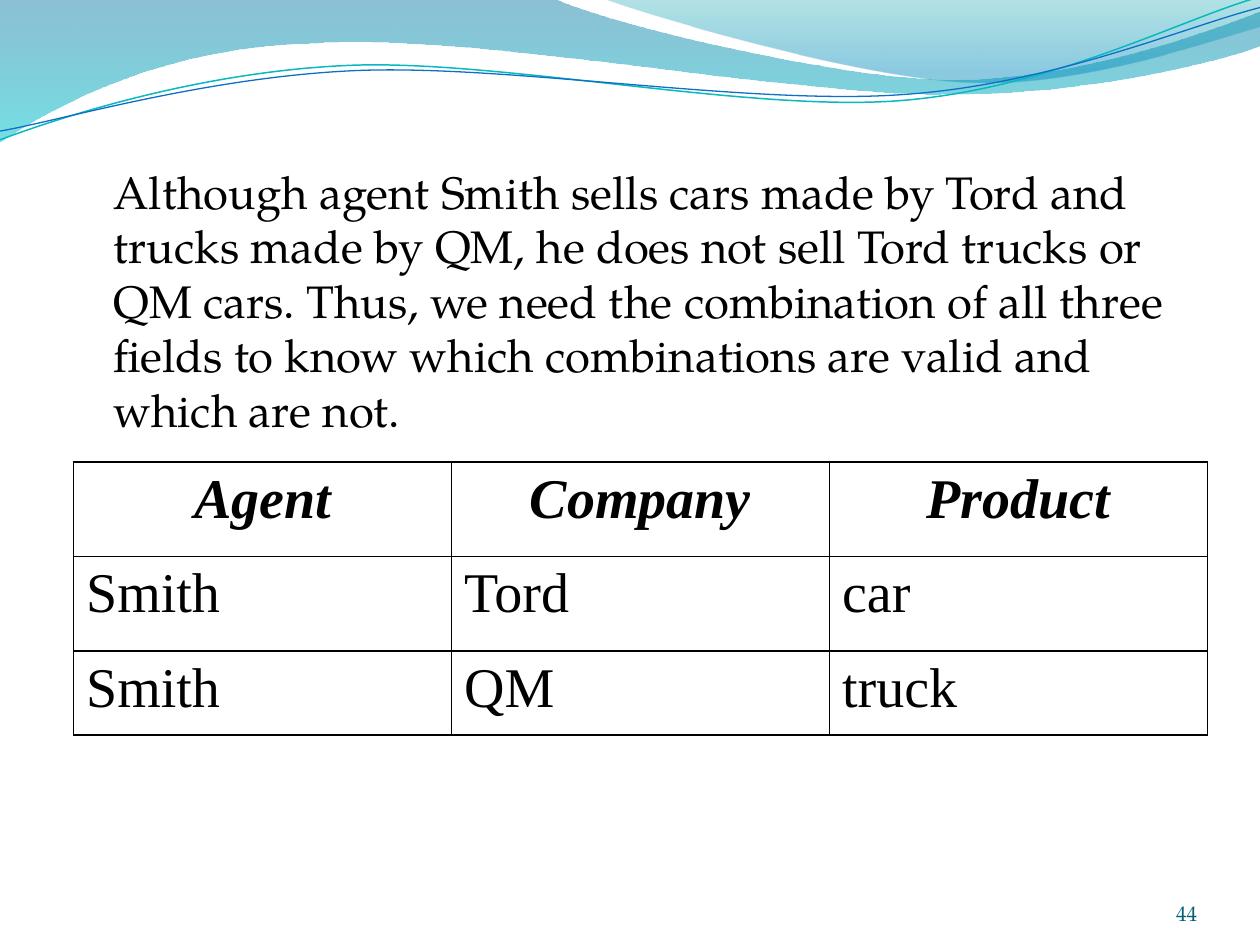
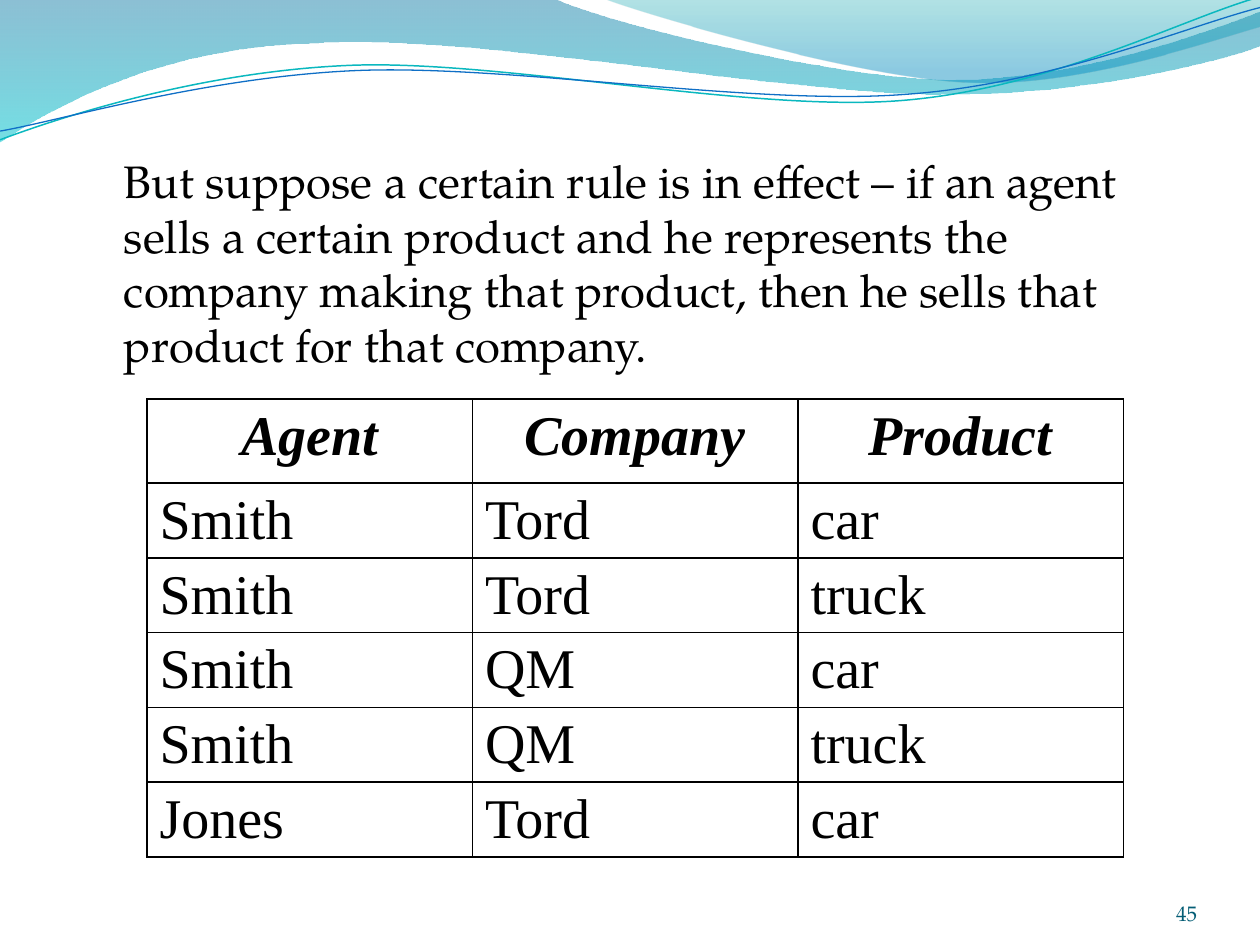
"""Build two slides on which agents sell which products for which companies."""
from lxml.etree import SubElement
from pptx import Presentation
from pptx.dml.color import RGBColor
from pptx.enum.text import MSO_ANCHOR, MSO_AUTO_SIZE, PP_ALIGN
from pptx.oxml import parse_xml
from pptx.oxml.ns import nsdecls, qn
from pptx.util import Pt

BLACK = RGBColor(0x00, 0x00, 0x00)
NUMBER_TEAL = RGBColor(0x04, 0x5D, 0x75)
DEEP_BLUE = RGBColor(0x00, 0x74, 0xA1)
CYAN = RGBColor(0x00, 0xC6, 0xCF)
SEA_GREEN = RGBColor(0x00, 0xA1, 0xA9)
SKY_BLUE = RGBColor(0x00, 0x8B, 0xBF)
LINE_TEAL = RGBColor(0x0A, 0xB8, 0xBF)
LINE_BLUE = RGBColor(0x0F, 0x6F, 0xC6)
BODY_FONT = "TeX Gyre Pagella"
TABLE_FONT = "Times New Roman"
HEADINGS = ("Agent", "Company", "Product")

SLIDES = [
    {
        "number": "44",
        "text": "Although agent Smith sells cars made by Tord and trucks made by QM, "
                "he does not sell Tord trucks or QM cars. Thus, we need the combination "
                "of all three fields to know which combinations are valid and which are not.",
        "text_area": (36, 90, 648, 162),
        "table_corner": (42, 264),
        "column_width": 216,
        "row_heights": (54, 54, 48),
        "sales": [("Smith", "Tord", "car"), ("Smith", "QM", "truck")],
    },
    {
        "number": "45",
        "text": "But suppose a certain rule is in effect – if an agent sells a certain "
                "product and he represents the company making that product, then he sells "
                "that product for that company.",
        "text_area": (42, 84, 648, 138),
        "table_corner": (84, 228),
        "column_width": 186,
        "row_heights": (48,) + (42.75,) * 5,
        "sales": [
            ("Smith", "Tord", "car"),
            ("Smith", "Tord", "truck"),
            ("Smith", "QM", "car"),
            ("Smith", "QM", "truck"),
            ("Jones", "Tord", "car"),
        ],
    },
]

BANDS = [
    {
        "route": [
            [(0, 0)],
            [(316.8, -0.7)],
            [(342.7, 12.2), (478.1, 45.4), (545.8, 45.4)],
            [(614.2, 45.4), (689.8, 18.7), (720, 6.5)],
            [(720.7, 25.9)],
            [(707.8, 31.7), (626.4, 54.7), (537.1, 54)],
            [(447.8, 54), (275, 20.2), (185, 24.5)],
            [(92.9, 25.9), (33.1, 59.8), (-0.7, 81.4)],
        ],
        "stops": [(0, DEEP_BLUE, 45), (1, CYAN, 55)],
    },
    {
        "route": [
            [(344.9, -0.7)],
            [(366.5, 7.9), (491, 44.6), (553.7, 46.8)],
            [(616.3, 49.7), (691.9, 23), (720, 15.1)],
            [(720, 0)],
        ],
        "stops": [(0, SEA_GREEN, 30), (0.8, SKY_BLUE, 45)],
    },
]

WAVE_LINES = [
    {
        "route": [
            [(0, 79.9)],
            [(34.6, 67), (113.8, 41), (199.4, 37.4)],
            [(284.4, 33.8), (427, 64.1), (513.4, 57.6)],
            [(599.8, 51.1), (675.4, 10.8), (718.6, -1.4)],
        ],
        "color": LINE_TEAL,
        "width": 0.85,
    },
    {
        "route": [
            [(0, 74.9)],
            [(33.8, 69.1), (118.1, 43.9), (203.8, 40.3)],
            [(290.2, 36.7), (429.8, 60.5), (516.2, 54)],
            [(601.9, 48.2), (677.5, 15.1), (720, 4.3)],
        ],
        "color": LINE_BLUE,
        "width": 0.75,
    },
]


def draw_route(page, route, close):
    """Draw a freeform whose three-point segments are cubic curves."""
    start, *others = [(Pt(x), Pt(y)) for segment in route for x, y in segment]
    builder = page.shapes.build_freeform(*start)
    builder.add_line_segments(others, close=close)
    shape = builder.convert_to_shape()
    shape.shadow.inherit = False
    steps = iter(list(shape.element.spPr.iter(qn("a:lnTo"))))
    for segment in route[1:]:
        first, *rest = [next(steps) for _ in segment]
        if rest:
            first.tag = qn("a:cubicBezTo")
        for step in rest:
            first.append(step[0])
            step.getparent().remove(step)
    return shape


def add_waves(page):
    """Draw the gradient bands and the thin lines across the top."""
    for band in BANDS:
        shape = draw_route(page, band["route"], True)
        shape.line.fill.background()
        shape.fill.gradient()
        shape.fill.gradient_angle = 270
        for stop, (position, color, _) in zip(shape.fill.gradient_stops, band["stops"]):
            stop.position = position
            stop.color.rgb = color
        colors = shape.element.spPr.iter(qn("a:srgbClr"))
        for color, (_, _, opacity) in zip(list(colors), band["stops"]):
            SubElement(color, qn("a:alpha"), val=str(opacity * 1000))
    for wave in WAVE_LINES:
        shape = draw_route(page, wave["route"], False)
        shape.fill.background()
        shape.line.color.rgb = wave["color"]
        shape.line.width = Pt(wave["width"])


def format_text(para, font, size, color, strong=False):
    """Format every run of a paragraph."""
    for span in para.runs:
        span.font.name = font
        span.font.size = Pt(size)
        span.font.color.rgb = color
        span.font.bold = span.font.italic = strong


def add_number(page, number):
    """Add the page number at the lower right."""
    box = page.shapes.add_textbox(Pt(624), Pt(500.4), Pt(60), Pt(28.8))
    frame = box.text_frame
    frame.word_wrap = True
    frame.vertical_anchor = MSO_ANCHOR.BOTTOM
    frame.margin_left = frame.margin_right = frame.margin_top = frame.margin_bottom = 0
    frame.text = number
    para = frame.paragraphs[0]
    para.alignment = PP_ALIGN.RIGHT
    format_text(para, BODY_FONT, 12, NUMBER_TEAL)


def fill_body(page, text, area):
    """Put the text in the body placeholder, indented and without a bullet."""
    body = page.placeholders[1]
    body.left, body.top, body.width, body.height = map(Pt, area)
    frame = body.text_frame
    frame.text = text
    frame.auto_size = MSO_AUTO_SIZE.NONE
    para = frame.paragraphs[0]
    format_text(para, BODY_FONT, 26, BLACK)
    properties = para._p.get_or_add_pPr()
    properties.set("marL", str(Pt(21.6)))
    properties.set("indent", "0")
    SubElement(properties, qn("a:buNone"))


def add_borders(cell):
    """Give a cell thin black borders on all sides."""
    properties = cell._tc.get_or_add_tcPr()
    for place, side in enumerate(("lnL", "lnR", "lnT", "lnB")):
        properties.insert(place, parse_xml(
            f'<a:{side} {nsdecls("a")} w="{Pt(1)}"><a:solidFill>'
            f'<a:srgbClr val="{BLACK}"/></a:solidFill></a:{side}>'
        ))


def add_sales_table(page, content):
    """Add the table of agents, companies and products."""
    rows = [HEADINGS, *content["sales"]]
    left, top = content["table_corner"]
    width, heights = content["column_width"], content["row_heights"]
    table = page.shapes.add_table(
        len(rows), len(HEADINGS), Pt(left), Pt(top),
        Pt(width * len(HEADINGS)), Pt(sum(heights)),
    ).table
    table.first_row = table.horz_banding = False
    for column in table.columns:
        column.width = Pt(width)
    for row_index, (values, height) in enumerate(zip(rows, heights)):
        table.rows[row_index].height = Pt(height)
        heading = row_index == 0
        for column_index, value in enumerate(values):
            cell = table.cell(row_index, column_index)
            cell.margin_bottom = 0
            cell.text_frame.text = value
            para = cell.text_frame.paragraphs[0]
            para.alignment = PP_ALIGN.CENTER if heading else PP_ALIGN.LEFT
            format_text(para, TABLE_FONT, 32, BLACK, heading)
            cell.fill.background()
            add_borders(cell)


def main():
    """Build and save the deck."""
    deck = Presentation()
    deck.slide_width, deck.slide_height = Pt(720), Pt(540)
    for content in SLIDES:
        page = deck.slides.add_slide(deck.slide_layouts[1])
        title = page.shapes.title.element
        title.getparent().remove(title)
        add_waves(page)
        add_number(page, content["number"])
        fill_body(page, content["text"], content["text_area"])
        add_sales_table(page, content)
    deck.save("out.pptx")


if __name__ == "__main__":
    main()
